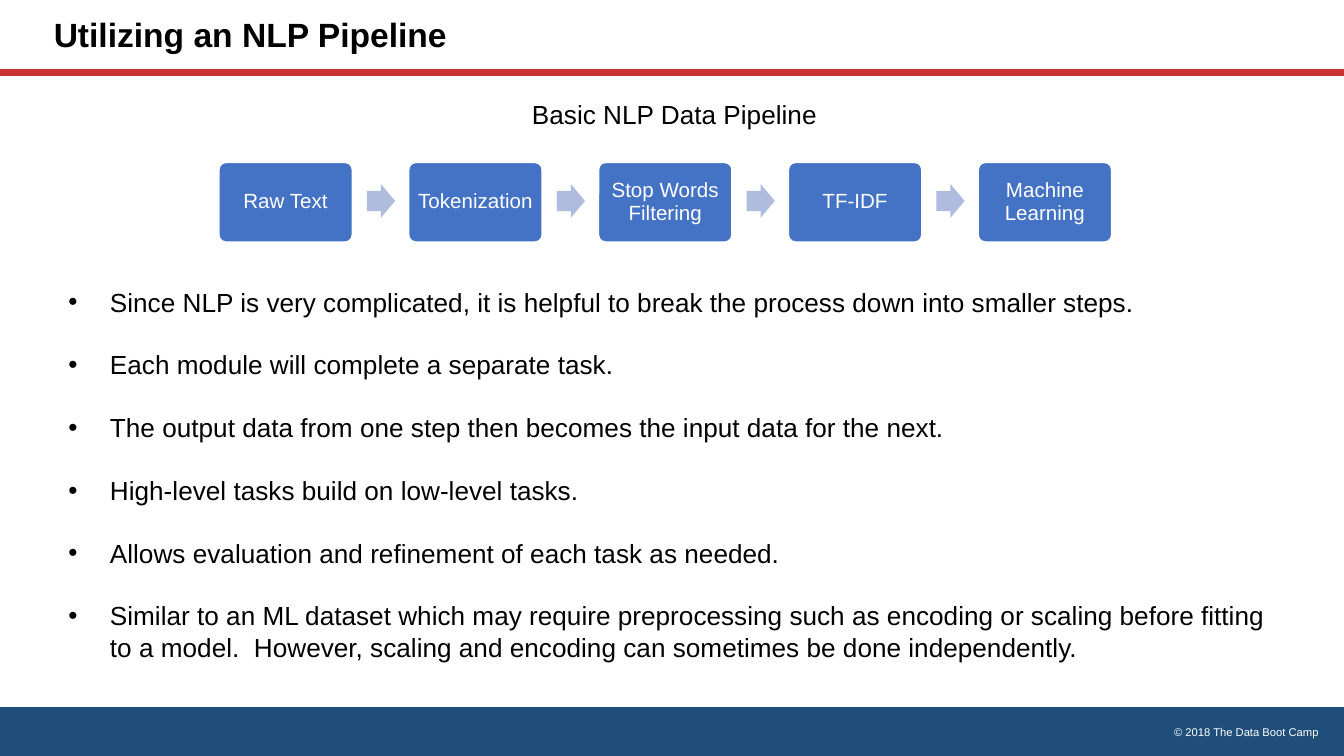
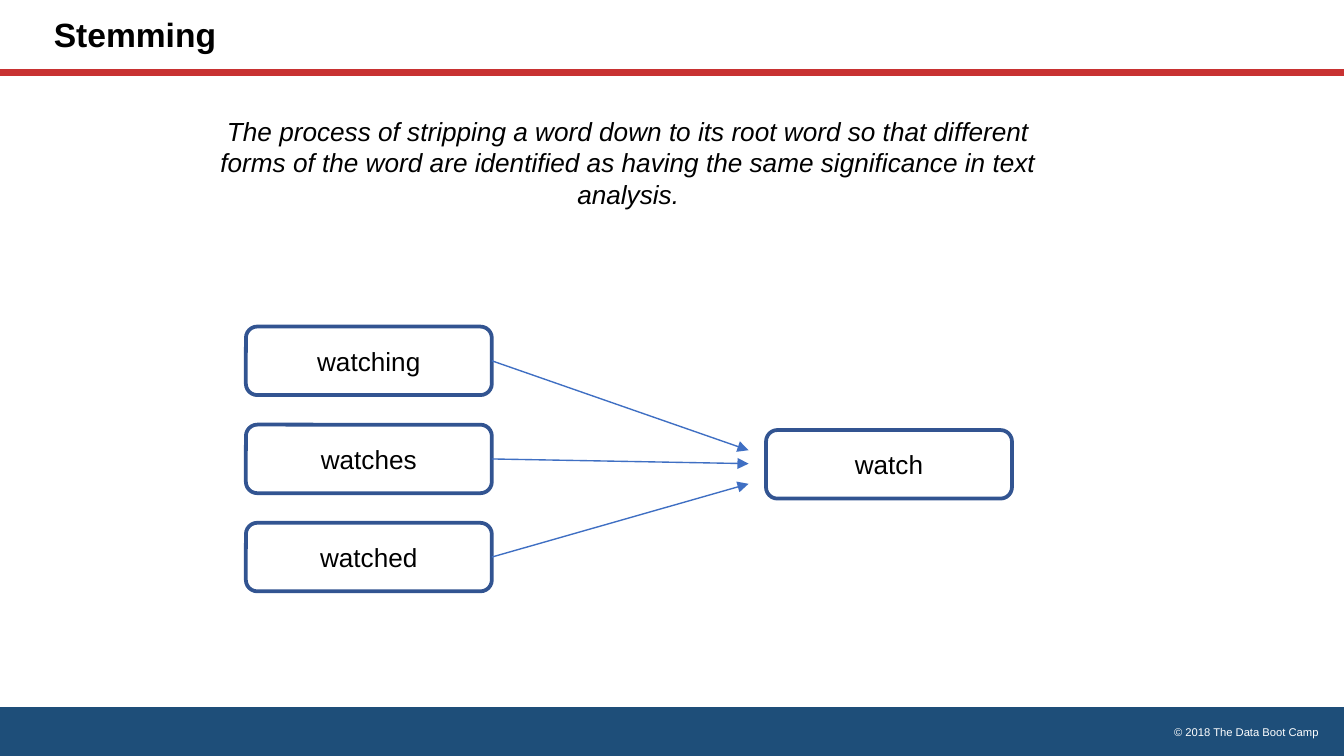
from dataclasses import dataclass

from lxml import etree
from pptx import Presentation
from pptx.dml.color import RGBColor
from pptx.enum.shapes import MSO_CONNECTOR, MSO_SHAPE
from pptx.enum.text import MSO_ANCHOR, PP_ALIGN
from pptx.oxml.ns import qn
from pptx.util import Inches, Pt

LEFT, CENTER, RIGHT = PP_ALIGN.LEFT, PP_ALIGN.CENTER, PP_ALIGN.RIGHT
TOP, MIDDLE = MSO_ANCHOR.TOP, MSO_ANCHOR.MIDDLE
ROUNDED, ARROW = MSO_SHAPE.ROUNDED_RECTANGLE, MSO_SHAPE.RIGHT_ARROW
BAND = MSO_SHAPE.FLOWCHART_PROCESS
STRAIGHT = MSO_CONNECTOR.STRAIGHT
RIGHT_SIDE = 3

PAGE_WIDTH = 10
PAGE_HEIGHT = PAGE_WIDTH * 9 / 16
FONT = "Arial"
COLORS = {
    "white": "FFFFFF",
    "black": "000000",
    "navy": "1E4E79",
    "red": "C83232",
    "step": "4472C4",
    "step_arrow": "B0BCDE",
    "word_border": "325491",
    "word_arrow": "3F6FC3",
}


@dataclass(frozen=True)
class Area:
    left: float
    top: float
    width: float
    height: float

    def lengths(self) -> tuple:
        return tuple(Inches(v) for v in (self.left, self.top, self.width, self.height))


@dataclass(frozen=True)
class TextStyle:
    size: float = 14
    color: str = "black"
    bold: bool = False
    italic: bool = False
    align: PP_ALIGN = LEFT
    anchor: MSO_ANCHOR = TOP
    spacing: float = 1.0
    inset_x: float = 0.1
    inset_y: float = 0.05
    wrap: bool = True
    bullet: bool = False
    gap: float = 0


@dataclass(frozen=True)
class WordArrow:
    word: str
    tip_y: float


TITLE = TextStyle(18, bold=True, anchor=MIDDLE, spacing=0.9, inset_x=0.07, inset_y=0.07)
FOOTER = TextStyle(6, "white", align=RIGHT, inset_x=0.07, inset_y=0.04)
CAPTION = TextStyle(wrap=False)
BULLETS = TextStyle(bullet=True, gap=16.8)
DEFINITION = TextStyle(italic=True, align=CENTER)
STEP = TextStyle(11, "white", align=CENTER, anchor=MIDDLE, spacing=0.9,
                 inset_x=0.06, inset_y=0.06)
WORD = TextStyle(align=CENTER, anchor=MIDDLE)

# Pipeline row
STEPS = ["Raw Text", "Tokenization", "Stop Words Filtering", "TF-IDF", "Machine Learning"]
STEP_LEFT, LAST_STEP_LEFT, ARROW_OFFSET = 1.62, 7.27, 1.11
STEP_PITCH = (LAST_STEP_LEFT - STEP_LEFT) / (len(STEPS) - 1)

POINTS = [
    "Since NLP is very complicated, it is helpful to break the process down into smaller steps.",
    "Each module will complete a separate task.",
    "The output data from one step then becomes the input data for the next.",
    "High-level tasks build on low-level tasks.",
    "Allows evaluation and refinement of each task as needed.",
    "Similar to an ML dataset which may require preprocessing such as encoding or scaling "
    "before fitting to a model.  However, scaling and encoding can sometimes be done "
    "independently.",
]

# Stemming diagram
WORDS = [WordArrow("watching", 3.35), WordArrow("watches", 3.45), WordArrow("watched", 3.6)]
WORD_LEFT, WORD_TOP, WORD_PITCH = 1.83, 2.43, 0.73
WORD_WIDTH, WORD_HEIGHT = 1.83, 0.51
ARROW_TIP_X = 5.57


def rgb(name: str) -> RGBColor:
    return RGBColor.from_string(COLORS[name])


def add_bullet(para) -> None:
    props = para._p.get_or_add_pPr()
    props.set("marL", str(Inches(0.31)))
    props.set("indent", str(-Inches(0.31)))
    color = etree.SubElement(props, qn("a:buClr"))
    etree.SubElement(color, qn("a:srgbClr"), val=COLORS["black"])
    etree.SubElement(props, qn("a:buFont"), typeface=FONT)
    etree.SubElement(props, qn("a:buChar"), char="•")


def write(box, lines: list[str], style: TextStyle) -> None:
    frame = box.text_frame
    frame.word_wrap = style.wrap
    frame.vertical_anchor = style.anchor
    frame.margin_left = frame.margin_right = Inches(style.inset_x)
    frame.margin_top = frame.margin_bottom = Inches(style.inset_y)
    for index, line in enumerate(lines):
        para = frame.paragraphs[0] if index == 0 else frame.add_paragraph()
        if style.bullet:
            add_bullet(para)
        para.alignment = style.align
        para.line_spacing = style.spacing
        if index:
            para.space_before = Pt(style.gap)
        span = para.add_run()
        span.text = line
        font = span.font
        font.name, font.size = FONT, Pt(style.size)
        font.bold, font.italic = style.bold, style.italic
        font.color.rgb = rgb(style.color)


def add_text(page, area: Area, lines: list[str], style: TextStyle) -> None:
    write(page.shapes.add_textbox(*area.lengths()), lines, style)


def add_block(page, kind: MSO_SHAPE, area: Area, fill: str, border: str = "",
              adjust: tuple[float, ...] = ()):
    shape = page.shapes.add_shape(kind, *area.lengths())
    shape.shadow.inherit = False
    shape.fill.solid()
    shape.fill.fore_color.rgb = rgb(fill)
    if border:
        shape.line.color.rgb = rgb(border)
        shape.line.width = Pt(2)
    else:
        shape.line.fill.background()
    for index, value in enumerate(adjust):
        shape.adjustments[index] = value
    return shape


def add_line(page, start: tuple[float, float], end: tuple[float, float],
             color: str, width: float, arrow: bool = False):
    line = page.shapes.add_connector(STRAIGHT, *(Inches(v) for v in start + end))
    line.line.color.rgb = rgb(color)
    line.line.width = Pt(width)
    if arrow:
        etree.SubElement(line.line._get_or_add_ln(), qn("a:tailEnd"), type="triangle")
    etree.SubElement(line._element.spPr, qn("a:effectLst"))
    return line


def add_page(deck, title: str):
    """Add a page with the shared footer band, title rule and title."""
    page = deck.slides.add_slide(deck.slide_layouts[6])
    add_block(page, BAND, Area(0, 5.26, 10.01, 0.38), "navy")
    add_text(page, Area(6.83, 5.36, 3.05, 0.18), ["© 2018 The Data Boot Camp"], FOOTER)
    add_line(page, (0, 0.54), (PAGE_WIDTH, 0.54), "red", 3.25)
    add_text(page, Area(0.33, 0, 5.98, 0.54), [title], TITLE)
    return page


def build_pipeline(deck) -> None:
    page = add_page(deck, "Utilizing an NLP Pipeline")
    add_text(page, Area(0.41, 2.08, 9.25, 3.16), POINTS, BULLETS)

    # Steps with an arrow between neighbours
    for index, step in enumerate(STEPS):
        left = STEP_LEFT + index * STEP_PITCH
        box = add_block(page, ROUNDED, Area(left, 1.2, 1.01, 0.61), "step", "white", (0.1,))
        write(box, [step], STEP)
        if index < len(STEPS) - 1:
            add_block(page, ARROW, Area(left + ARROW_OFFSET, 1.37, 0.21, 0.25),
                      "step_arrow", adjust=(0.6, 0.5))

    add_text(page, Area(3.86, 0.68, 2.34, 0.34), ["Basic NLP Data Pipeline"], CAPTION)


def add_word(page, left: float, top: float, word: str):
    area = Area(left, top, WORD_WIDTH, WORD_HEIGHT)
    box = add_block(page, ROUNDED, area, "white", "word_border")
    write(box, [word], WORD)
    return box


def build_stemming(deck) -> None:
    page = add_page(deck, "Stemming")
    add_text(page, Area(1.46, 0.81, 6.43, 0.81), [
        "The process of stripping a word down to its root word so that different forms of "
        "the word are identified as having the same significance in text analysis."
    ], DEFINITION)

    # Word forms pointing at their stem
    for index, form in enumerate(WORDS):
        top = WORD_TOP + index * WORD_PITCH
        box = add_word(page, WORD_LEFT, top, form.word)
        start = (WORD_LEFT + WORD_WIDTH, top + WORD_HEIGHT / 2)
        arrow = add_line(page, start, (ARROW_TIP_X, form.tip_y), "word_arrow", 0.75, True)
        arrow.begin_connect(box, RIGHT_SIDE)
    add_word(page, 5.7, 3.2, "watch")


def main() -> None:
    deck = Presentation()
    deck.slide_width, deck.slide_height = Inches(PAGE_WIDTH), Inches(PAGE_HEIGHT)
    build_pipeline(deck)
    build_stemming(deck)
    deck.save("out.pptx")


if __name__ == "__main__":
    main()
